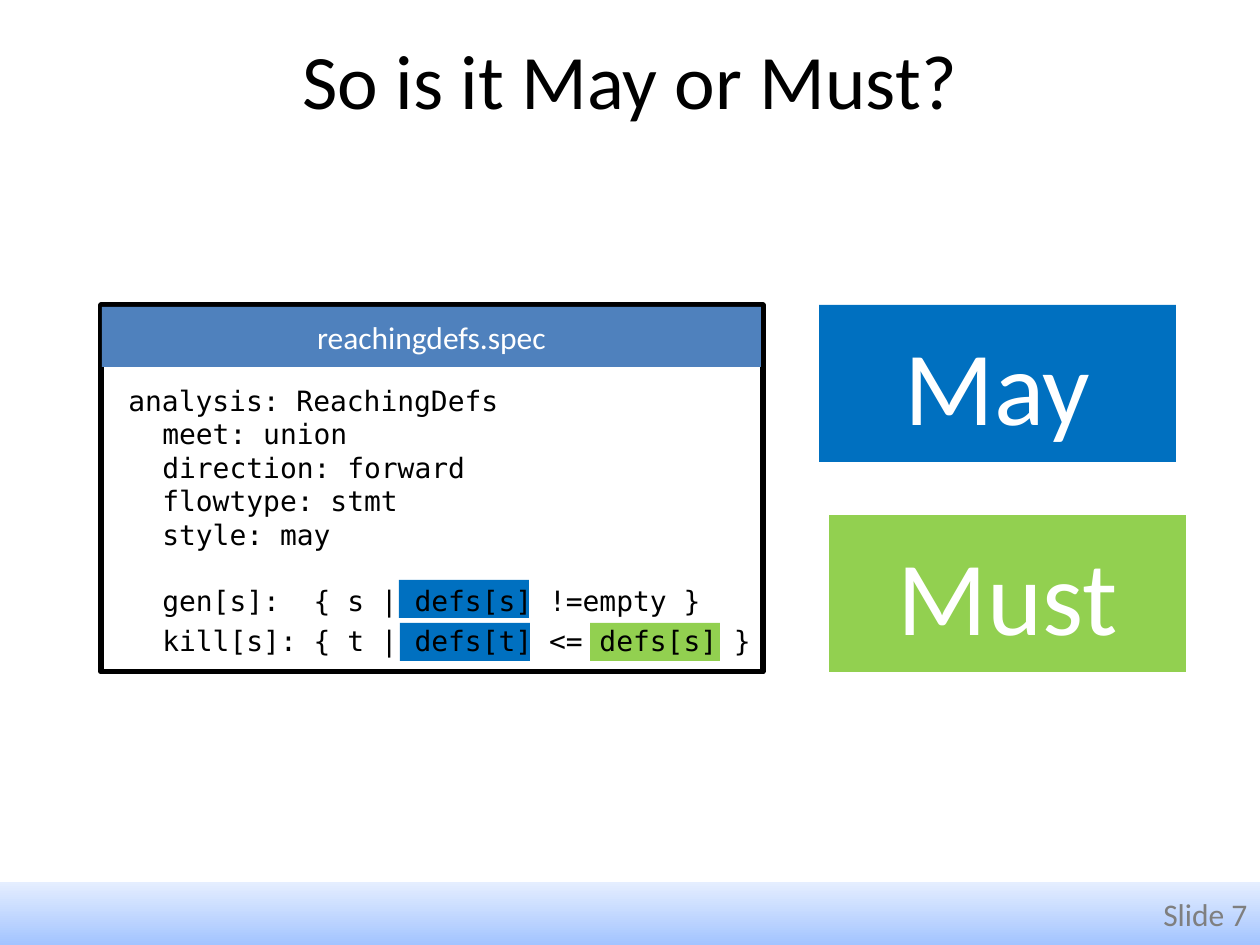
from pptx import Presentation
from pptx import util as u
from pptx.dml.color import RGBColor
from pptx.enum import shapes, text

PX = u.Inches(1) / 126
BLACK = RGBColor(0, 0, 0)
WHITE = RGBColor(255, 255, 255)
GRAY = RGBColor(0x7F, 0x7F, 0x7F)
BLUE = RGBColor(0x00, 0x70, 0xC0)
GREEN = RGBColor(0x92, 0xD0, 0x50)
STEEL = RGBColor(0x4F, 0x81, 0xBD)
DEEP = RGBColor(0xA3, 0xC4, 0xFF)
PALE = RGBColor(0xE5, 0xEE, 0xFF)

SANS = "Calibri"
MONO = "DejaVu Sans Mono"
INDENT = 34  # two characters of code

# Code lines: text, indent level, space before in points
CODE = [
    ("analysis: ReachingDefs", 0, 0),
    ("meet: union", 1, 0),
    ("direction: forward", 1, 0),
    ("flowtype: stmt", 1, 0),
    ("style: may", 1, 0),
    ("gen[s]:  { s | defs[s] !=empty }", 1, 18.6),
    ("kill[s]: { t | defs[t] <= defs[s] }", 1, 3.5),
]


def px(n):
    return u.Emu(round(n * PX))


def place(shape, left, top, width, height):
    shape.left, shape.top = px(left), px(top)
    shape.width, shape.height = px(width), px(height)


def write(para, words, size=18, font=SANS, color=WHITE,
          align=text.PP_ALIGN.CENTER, before=0, indent=0):
    para.alignment = align
    para.space_before = u.Pt(before)
    if indent:
        props = para._p.get_or_add_pPr()
        props.set("marL", str(px(indent)))
        props.set("indent", "0")
    run = para.add_run()
    run.text = words
    run.font.size = u.Pt(size)
    run.font.name = font
    run.font.color.rgb = color


def box(slide, left, top, width, height, fill=None, words="", **style):
    shape = slide.shapes.add_shape(
        shapes.MSO_SHAPE.RECTANGLE, px(left), px(top), px(width), px(height))
    shape.shadow.inherit = False
    shape.line.fill.background()
    if fill is None:
        shape.fill.background()
    else:
        shape.fill.solid()
        shape.fill.fore_color.rgb = fill
    if words:
        shape.text_frame.vertical_anchor = text.MSO_ANCHOR.MIDDLE
        write(shape.text_frame.paragraphs[0], words, **style)
    return shape


def footer(slide):
    bar = box(slide, 0, 882, 1260, 63, PALE, "Slide 7",
              color=GRAY, align=text.PP_ALIGN.RIGHT)
    bar.fill.gradient()
    bar.fill.gradient_angle = 90
    for stop, color in zip(bar.fill.gradient_stops, (DEEP, PALE)):
        stop.color.rgb = color


def listing(slide):
    # Marks behind the code
    for left, top, color in ((400, 623, BLUE), (399, 580, BLUE),
                             (590, 623, GREEN)):
        box(slide, left, top, 130, 38, color)

    # Frame, code and header
    frame = box(slide, 101, 305, 662, 367)
    frame.line.color.rgb = BLACK
    frame.line.width = u.Pt(3)

    area = slide.shapes.add_textbox(px(116), px(377), px(648), px(288))
    body = area.text_frame
    body.word_wrap = False
    for i, (words, level, before) in enumerate(CODE):
        para = body.add_paragraph() if i else body.paragraphs[0]
        write(para, words, size=16, font=MONO, color=BLACK,
              align=text.PP_ALIGN.LEFT, before=before, indent=level * INDENT)

    box(slide, 102, 307, 659, 60, STEEL, "reachingdefs.spec")


def main():
    deck = Presentation()
    deck.slide_width, deck.slide_height = px(1260), px(945)
    slide = deck.slides.add_slide(deck.slide_layouts[5])

    # Title
    title = slide.shapes.title
    place(title, 63, 0, 1134, 158)
    title.text_frame.vertical_anchor = text.MSO_ANCHOR.MIDDLE
    write(title.text_frame.paragraphs[0], "So is it May or Must?",
          size=44, color=BLACK)

    footer(slide)
    listing(slide)

    # Answers
    box(slide, 819, 305, 357, 157, BLUE, "May", size=60)
    box(slide, 829, 515, 357, 157, GREEN, "Must", size=60)

    deck.save("out.pptx")


if __name__ == "__main__":
    main()
